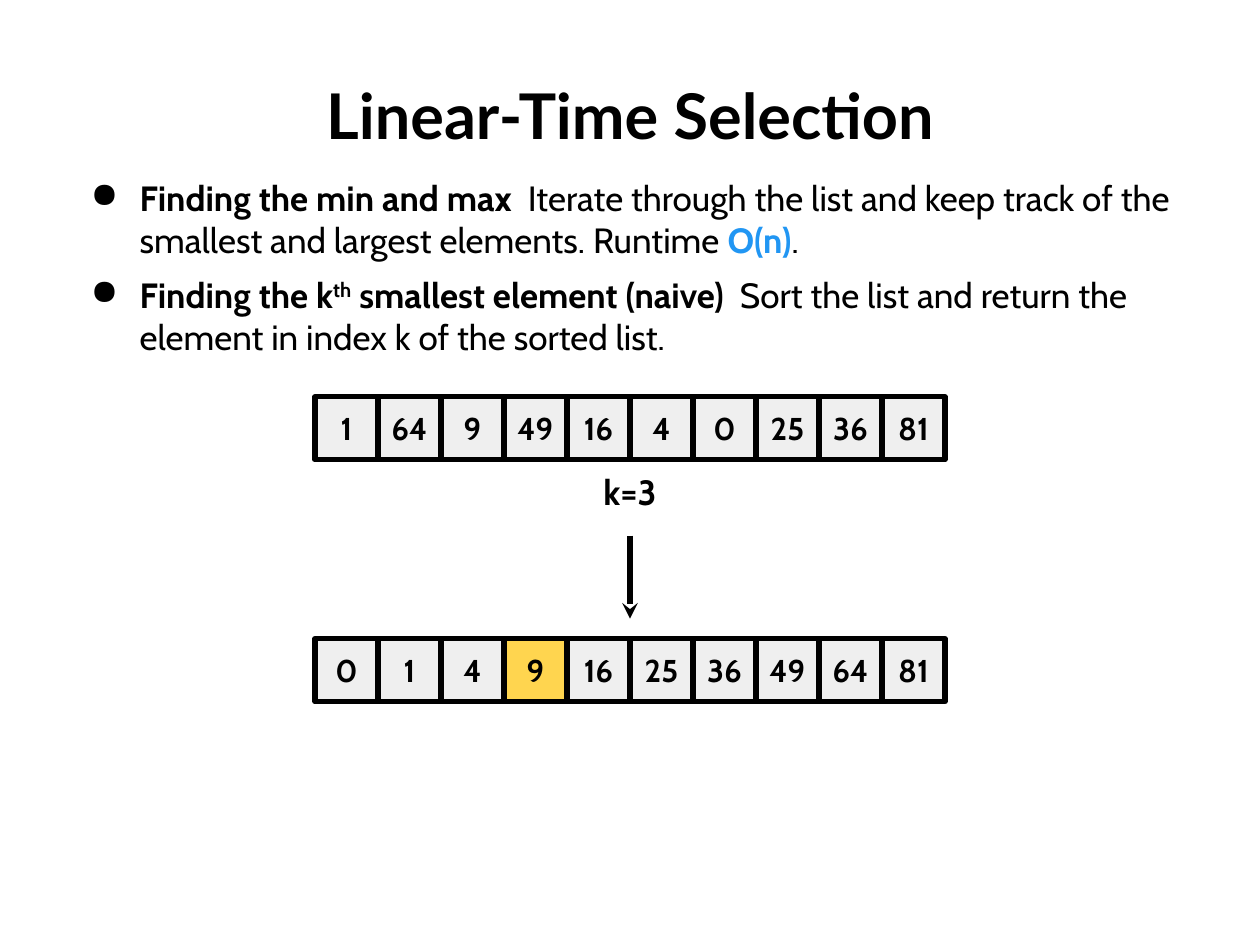
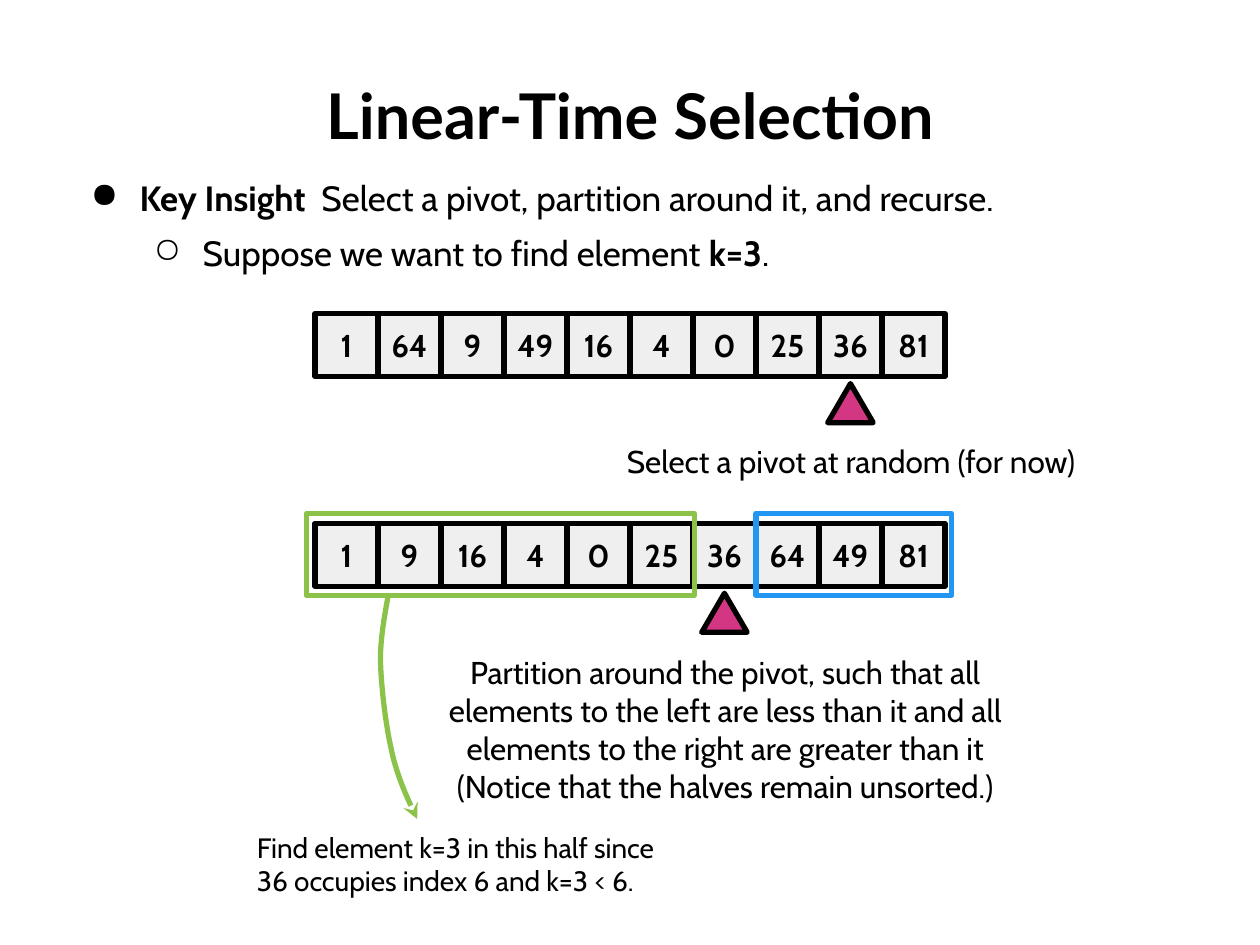
from collections import namedtuple

from lxml.etree import SubElement
from pptx import Presentation
from pptx.dml.color import RGBColor
from pptx.enum.shapes import MSO_CONNECTOR, MSO_SHAPE
from pptx.enum.text import MSO_ANCHOR, MSO_AUTO_SIZE, PP_ALIGN
from pptx.oxml.ns import qn
from pptx.util import Pt

BLACK = RGBColor(0x00, 0x00, 0x00)
GREY = RGBColor(0xEF, 0xEF, 0xEF)
YELLOW = RGBColor(0xFF, 0xD5, 0x4F)
PINK = RGBColor(0xD3, 0x36, 0x82)
GREEN = RGBColor(0x8B, 0xC3, 0x4A)
BLUE = RGBColor(0x21, 0x96, 0xF3)

BODY_FONT = "Cabin"
TITLE_FONT = "Lato"
CELL = 36
STROKE = 3
MARKS = "●○"

Box = namedtuple("Box", "left top width height")
TITLE_BOX = Box(36.7, 36.7, 646.6, 56.9)
BODY_BOX = Box(36.7, 93.6, 646.6, 409.7)
UNSORTED = [1, 64, 9, 49, 16, 4, 0, 25, 36, 81]
PARTITIONED = [1, 9, 16, 4, 0, 25, 36, 64, 49, 81]
PIVOT = 36


def in_points(box):
    """Return the four sides of a box as lengths."""
    return [Pt(side) for side in box]


def write(para, text, size=20, bold=False, color=BLACK, font=BODY_FONT, raised=False):
    """Append one formatted span to a paragraph."""
    span = para.add_run()
    span.text = text
    span.font.name = font
    span.font.size = Pt(size)
    span.font.bold = bold
    span.font.color.rgb = color
    if raised:
        span._r.get_or_add_rPr().set("baseline", "30000")


def set_frame(frame, anchor=MSO_ANCHOR.TOP):
    """Give a text frame the shared margins, wrapping and anchor."""
    frame.word_wrap = True
    frame.auto_size = MSO_AUTO_SIZE.NONE
    frame.vertical_anchor = anchor
    frame.margin_left = frame.margin_right = Pt(7.2)
    frame.margin_top = frame.margin_bottom = Pt(7.2)


def add_title(page, box, text):
    """Place and format the title placeholder."""
    title = page.shapes.title
    title.left, title.top, title.width, title.height = in_points(box)
    set_frame(title.text_frame)
    para = title.text_frame.paragraphs[0]
    para.alignment = PP_ALIGN.CENTER
    write(para, text, size=36, bold=True, font=TITLE_FONT)


def add_bullets(page, box, items):
    """Fill a box with bullets, each a level and a list of spans."""
    frame = page.shapes.add_textbox(*in_points(box)).text_frame
    set_frame(frame)
    for number, (level, spans) in enumerate(items):
        para = frame.add_paragraph() if number else frame.paragraphs[0]
        para.level = level
        properties = para._p.get_or_add_pPr()
        properties.set("marL", str(Pt(36 * (level + 1))))
        properties.set("indent", str(Pt(-28)))
        mark_color = SubElement(properties, qn("a:buClr"))
        SubElement(mark_color, qn("a:srgbClr"), val=str(BLACK))
        SubElement(properties, qn("a:buChar"), char=MARKS[level])
        para.space_before = Pt(7.4 if number else 0)
        for text, style in spans:
            write(para, text, **style)


def add_label(page, box, *lines, align=PP_ALIGN.CENTER, anchor=MSO_ANCHOR.MIDDLE, **style):
    """Write a caption with a line break between its lines."""
    frame = page.shapes.add_textbox(*in_points(box)).text_frame
    set_frame(frame, anchor)
    para = frame.paragraphs[0]
    para.alignment = align
    for number, line in enumerate(lines):
        if number:
            para.add_line_break()
        write(para, line, **style)


def add_outlined(page, kind, box, fill=None, line=BLACK):
    """Add a preset shape with a thick outline and an optional fill."""
    shape = page.shapes.add_shape(kind, *in_points(box))
    shape.shadow.inherit = False
    if fill is None:
        shape.fill.background()
    else:
        shape.fill.solid()
        shape.fill.fore_color.rgb = fill
    shape.line.color.rgb = line
    shape.line.width = Pt(STROKE)
    return shape


def add_array(page, box, values, found=None):
    """Draw a list as a row of cells, with the found value in yellow."""
    for index, value in enumerate(values):
        cell_box = Box(box.left + index * CELL, box.top, CELL, CELL)
        fill = YELLOW if value == found else GREY
        frame = add_outlined(page, MSO_SHAPE.RECTANGLE, cell_box, fill).text_frame
        set_frame(frame, MSO_ANCHOR.MIDDLE)
        frame.paragraphs[0].alignment = PP_ALIGN.CENTER
        write(frame.paragraphs[0], str(value), size=18, bold=True)


def add_pivot(page, box, index):
    """Point a triangle at one cell of an array."""
    width, height = 26, 22.3
    left = box.left + index * CELL + (CELL - width) / 2
    triangle = Box(left, box.top + CELL + 4, width, height)
    add_outlined(page, MSO_SHAPE.ISOSCELES_TRIANGLE, triangle, PINK)


def add_half(page, box, left, right, color):
    """Frame the part of an array between two offsets."""
    half = Box(box.left + left, box.top - 5.6, right - left, 46.8)
    add_outlined(page, MSO_SHAPE.RECTANGLE, half, line=color)


def style_arrow(arrow, color):
    """Give a line its colour, width and arrowhead."""
    arrow.line.color.rgb = color
    arrow.line.width = Pt(STROKE)
    SubElement(arrow.line._get_or_add_ln(), qn("a:tailEnd"), type="stealth")


def add_down_arrow(page, box):
    """Draw a straight arrow down the left side of a box."""
    left, top, _, height = in_points(box)
    arrow = page.shapes.add_connector(MSO_CONNECTOR.STRAIGHT, left, top, left, top + height)
    style_arrow(arrow, BLACK)
    SubElement(arrow._element.spPr, qn("a:effectLst"))


def bezier(points, step):
    """Return the point at a step along a cubic curve."""
    weights = [(1 - step) ** 3, 3 * step * (1 - step) ** 2, 3 * step ** 2 * (1 - step), step ** 3]
    return tuple(sum(w * point[axis] for w, point in zip(weights, points)) for axis in (0, 1))


def add_curved_arrow(page, box, color):
    """Draw a bowed arrow from the top to the bottom right of a box."""
    knots = [(0.21, 0), (0.17, 0.05), (0, 0.17), (0, 0.29), (0.02, 0.41),
             (0.14, 0.58), (0.31, 0.7), (0.48, 0.83), (0.86, 0.95), (1, 1)]
    places = [(Pt(box.left + x * box.width), Pt(box.top + y * box.height)) for x, y in knots]
    steps = 10
    curve = [bezier(places[first:first + 4], step / steps)
             for first in (0, 3, 6) for step in range(1, steps + 1)]
    builder = page.shapes.build_freeform(*places[0])
    builder.add_line_segments(curve, close=False)
    arrow = builder.convert_to_shape()
    arrow.shadow.inherit = False
    arrow.fill.background()
    style_arrow(arrow, color)


def add_page(deck, items):
    """Add a page with the shared title and its bullets."""
    page = deck.slides.add_slide(deck.slide_layouts[5])
    add_title(page, TITLE_BOX, "Linear-Time Selection")
    add_bullets(page, BODY_BOX, items)
    return page


def add_naive_page(deck):
    """Show selection by sorting the whole list."""
    strong = {"bold": True}
    page = add_page(deck, [
        (0, [("Finding the min and max", strong),
             ("  Iterate through the list and keep track of the smallest and "
              "largest elements. Runtime ", {}),
             ("O(n)", {"bold": True, "color": BLUE}), (".", {})]),
        (0, [("Finding the k", strong), ("th", {"bold": True, "raised": True}),
             (" smallest element (naive)", strong),
             ("  Sort the list and return the element in index k of the sorted list.", {})]),
    ])
    before = Box(180, 226.8, 360, CELL)
    after = before._replace(top=365)
    add_array(page, before, UNSORTED)
    add_down_arrow(page, Box(360, 306, 0, 47.5))
    add_array(page, after, sorted(UNSORTED), found=9)
    add_label(page, Box(242, before.top + CELL, 236, CELL), "k=3", bold=True)


def add_pivot_page(deck):
    """Show selection by partitioning around a pivot."""
    page = add_page(deck, [
        (0, [("Key Insight", {"bold": True}),
             ("  Select a pivot, partition around it, and recurse.", {})]),
        (1, [("Suppose we want to find element ", {}), ("k=3", {"bold": True}), (".", {})]),
    ])
    before = Box(180, 179.2, 360, CELL)
    after = before._replace(top=299)
    for box, values in ((before, UNSORTED), (after, PARTITIONED)):
        add_array(page, box, values)
        add_pivot(page, box, values.index(PIVOT))
    add_label(page, Box(346.3, 245.5, 280, CELL), "Select a pivot at random (for now)", size=18)
    add_label(page, Box(225.4, 365.8, 378, 101.5),
              "Partition around the pivot, such that all elements to the left are less "
              "than it and all elements to the right are greater than it",
              "(Notice that the halves remain unsorted.)", size=18)
    add_half(page, after, -5, 216.7, GREEN)
    add_half(page, after, 252, 363.6, BLUE)
    add_curved_arrow(page, Box(217.4, 340, 21, 128), GREEN)
    add_label(page, Box(139.7, 467.3, 257, 56.9),
              "Find element k=3 in this half since 36 occupies index 6 and k=3 < 6.",
              size=16, align=PP_ALIGN.LEFT, anchor=MSO_ANCHOR.TOP)


def main():
    """Build both pages and save the deck."""
    deck = Presentation()
    deck.slide_width, deck.slide_height = Pt(720), Pt(540)
    add_naive_page(deck)
    add_pivot_page(deck)
    deck.save("out.pptx")


if __name__ == "__main__":
    main()
